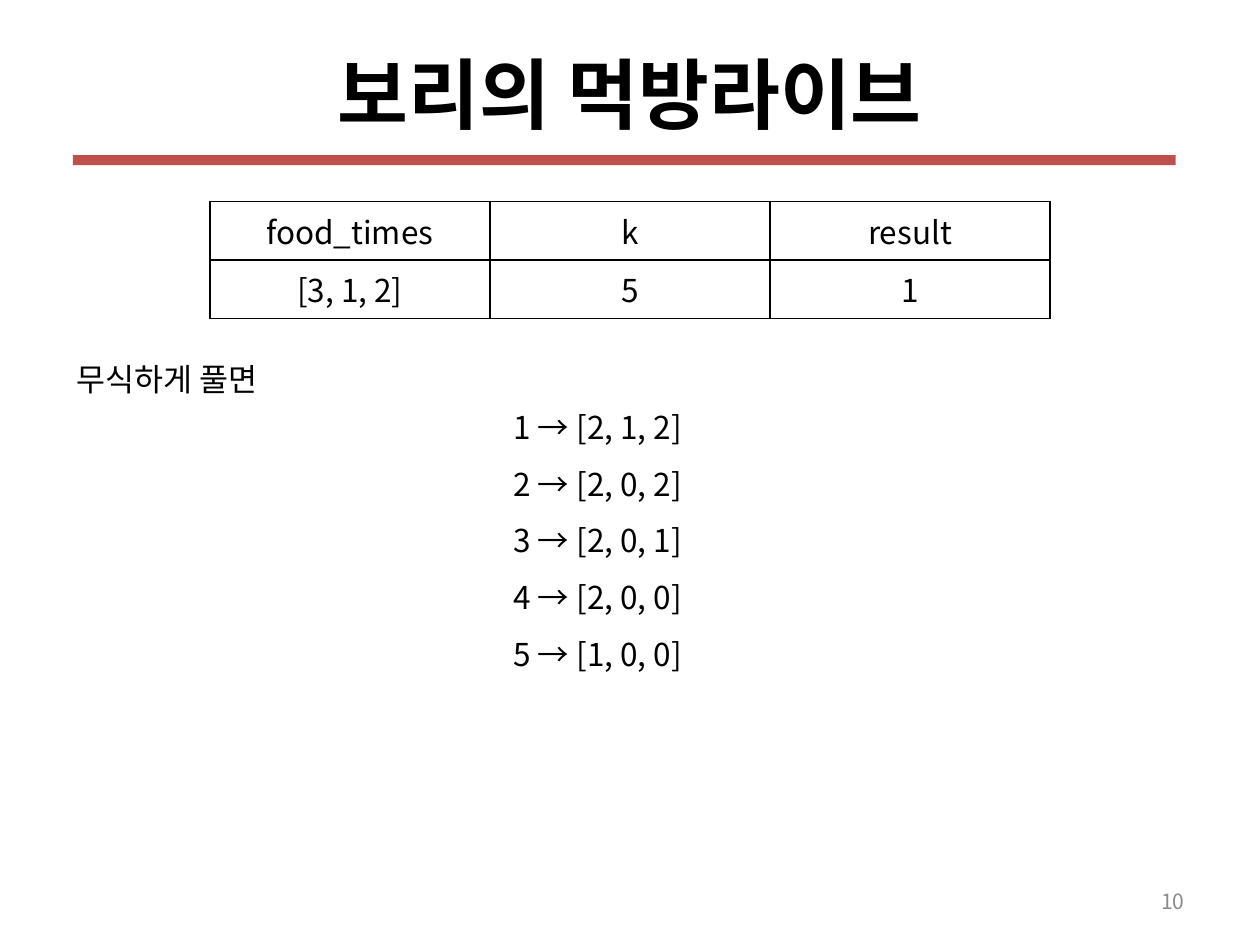
from lxml.etree import SubElement
from pptx import Presentation
from pptx.dml.color import RGBColor
from pptx.enum.shapes import MSO_SHAPE as Shape
from pptx.enum.text import MSO_ANCHOR as Anchor, PP_ALIGN as Align
from pptx.oxml import parse_xml
from pptx.oxml.ns import nsdecls, qn
from pptx.util import Cm, Pt

FONT = "Noto Sans CJK KR"
BLACK, RED, GREY = "000000", "C0504D", "8C8C8C"


def color(value):
    return RGBColor.from_string(value)


def style(para, size=18, ink=BLACK, bold=False, align=Align.LEFT):
    para.alignment = align
    font = para.font
    font.name, font.size, font.bold = FONT, Pt(size), bold
    font.color.rgb = color(ink)
    properties = para._p.pPr.find(qn("a:defRPr"))
    SubElement(properties, qn("a:ea"), typeface=FONT)


def add_text(page, box, lines, anchor=Anchor.TOP, wrap=True, spacing=None, **look):
    frame = page.shapes.add_textbox(*map(Cm, box)).text_frame
    frame.word_wrap = wrap
    frame.vertical_anchor = anchor
    frame.text = "\n".join(lines)
    for para in frame.paragraphs:
        para.line_spacing = spacing
        style(para, **look)


def add_header(page, box, title):
    left, top, width, height = box
    add_text(page, box, [title], Anchor.MIDDLE, size=44, bold=True, align=Align.CENTER)
    bar_box = left + 0.2, top + height - 0.33, width - 0.63, 0.2
    bar = page.shapes.add_shape(Shape.RECTANGLE, *map(Cm, bar_box))
    bar.shadow.inherit = False
    bar.fill.solid()
    bar.fill.fore_color.rgb = color(RED)
    bar.line.fill.background()


def add_borders(cell):
    properties = cell._tc.get_or_add_tcPr()
    for index, side in enumerate("LRTB"):
        properties.insert(index, parse_xml(
            f'<a:ln{side} {nsdecls("a")} w="{Pt(1)}"><a:solidFill>'
            f'<a:srgbClr val="{BLACK}"/></a:solidFill></a:ln{side}>'))


def add_example(page, box, rows):
    table = page.shapes.add_table(len(rows), len(rows[0]), *map(Cm, box)).table
    for row, texts in enumerate(rows):
        for column, text in enumerate(texts):
            cell = table.cell(row, column)
            cell.text = text
            cell.fill.background()
            style(cell.text_frame.paragraphs[0], align=Align.CENTER)
            add_borders(cell)


def add_steps(page, box, heading, states):
    left, top, width, height = box
    add_text(page, (left, top, 4.6, 1.02), [heading], wrap=False)
    steps = [f"{number} → {state}" for number, state in enumerate(states, 1)]
    add_text(page, (left + 8.8, top + 0.58, width - 8.8, height - 0.58),
             steps, wrap=False, spacing=1.5)


def main():
    deck = Presentation()
    deck.slide_width, deck.slide_height = Cm(25.4), Cm(19.05)
    page = deck.slides.add_slide(deck.slide_layouts[6])
    add_header(page, (1.27, 0.28, 22.86, 3.18), "보리의 먹방라이브")
    add_example(page, (4.23, 4.06, 16.94, 2.36),
                [["food_times", "k", "result"], ["[3, 1, 2]", "5", "1"]])
    add_steps(page, (1.3, 7.14, 12.91, 6.6), "무식하게 풀면",
              ["[2, 1, 2]", "[2, 0, 2]", "[2, 0, 1]", "[2, 0, 0]", "[1, 0, 0]"])
    add_text(page, (18.2, 17.66, 5.93, 1.01), ["10"], Anchor.MIDDLE,
             size=12, ink=GREY, align=Align.RIGHT)
    deck.save("out.pptx")


if __name__ == "__main__":
    main()
